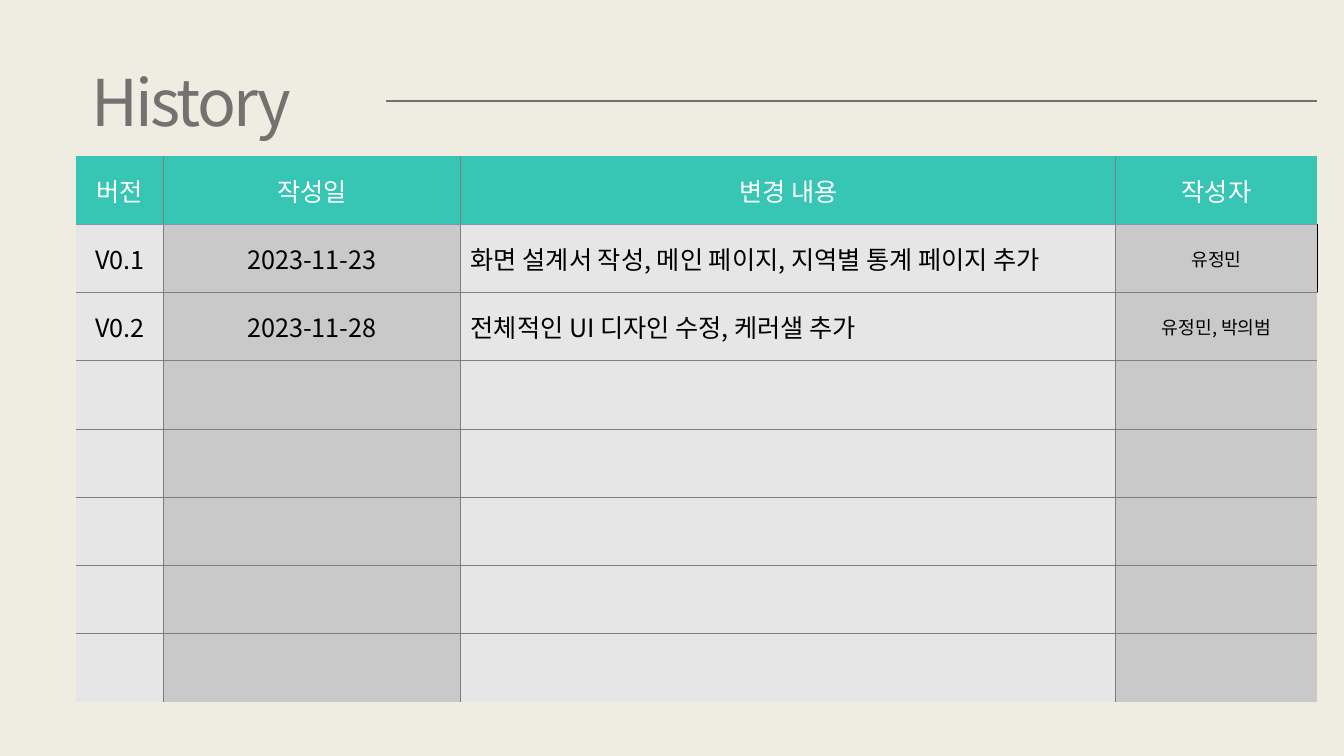
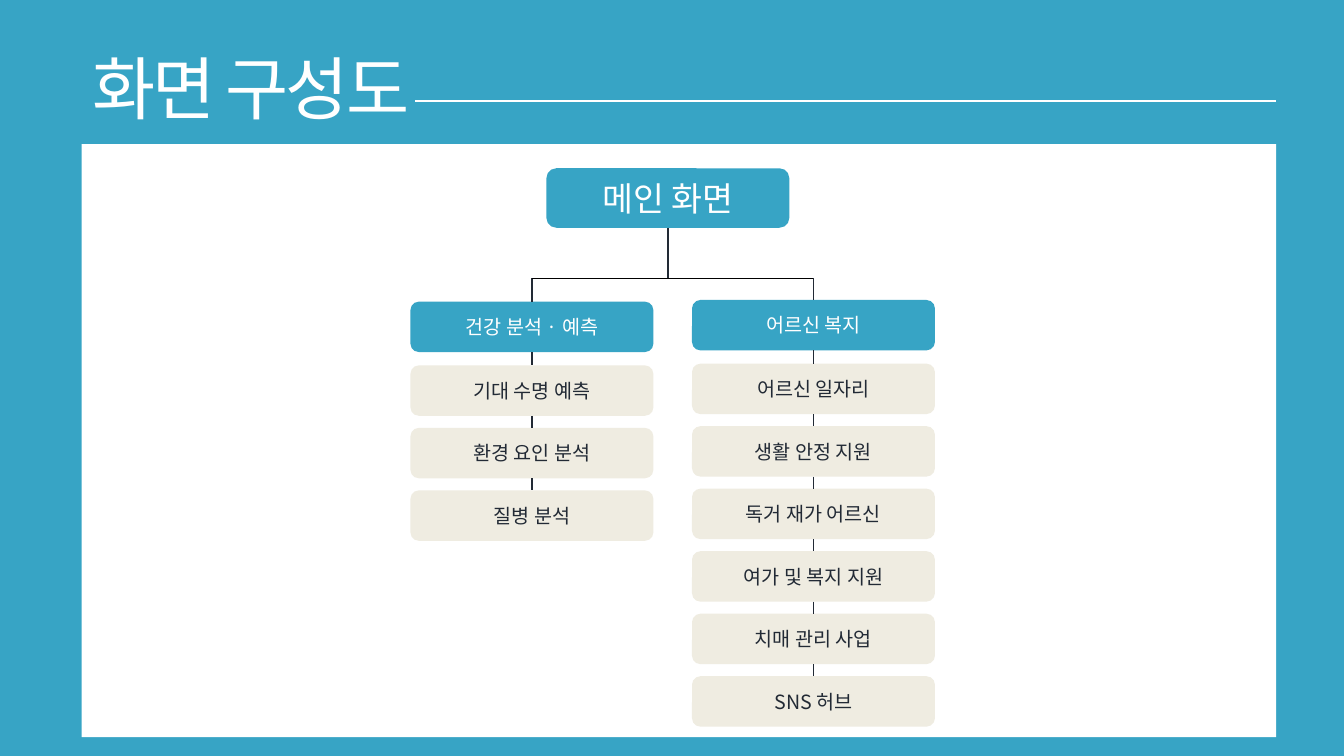
from itertools import pairwise

from lxml.etree import SubElement
from pptx import Presentation
from pptx.dml.color import RGBColor
from pptx.enum.shapes import MSO_CONNECTOR, MSO_SHAPE
from pptx.enum.text import MSO_ANCHOR, MSO_AUTO_SIZE, PP_ALIGN
from pptx.oxml.ns import qn
from pptx.util import Pt

FONT = "Noto Sans CJK KR"
CREAM = RGBColor(0xEF, 0xEC, 0xE1)
BLUE = RGBColor(0x37, 0xA4, 0xC5)
TEAL = RGBColor(0x37, 0xC5, 0xB4)
WHITE = RGBColor(0xFF, 0xFF, 0xFF)
BLACK = RGBColor(0x00, 0x00, 0x00)
NAVY = RGBColor(0x22, 0x2A, 0x35)
TITLE_GRAY = RGBColor(0x76, 0x71, 0x71)
RULE_GRAY = RGBColor(0x75, 0x70, 0x70)
GRID_GRAY = RGBColor(0x7F, 0x7F, 0x7F)
HEADER_EDGE = RGBColor(0x82, 0x96, 0xB0)
LIGHT_CELL = RGBColor(0xE7, 0xE6, 0xE6)
DARK_CELL = RGBColor(0xC9, 0xC9, 0xC9)

RULE_TOP = 72
TITLE_SPACING = -2

HISTORY_COLUMNS = [62, 212.4, 468, 144]
HISTORY_HEADER = ["버전", "작성일", "변경 내용", "작성자"]
HISTORY_ENTRIES = [
    ["V0.1", "2023-11-23", "화면 설계서 작성, 메인 페이지, 지역별 통계 페이지 추가", "유정민"],
    ["V0.2", "2023-11-28", "전체적인 UI 디자인 수정, 케러샐 추가", "유정민, 박의범"],
]
HISTORY_ROWS = 8

NODE_WIDTH = 173.5
NODE_HEIGHT = 36
HEADING_STEP = 45.5
ITEM_STEP = 44.65
BUS_TOP = 95.7
HEALTH_MENU = ["건강 분석 · 예측", "기대 수명 예측", "환경 요인 분석", "질병 분석"]
WELFARE_MENU = ["어르신 복지", "어르신 일자리", "생활 안정 지원", "독거 재가 어르신",
                "여가 및 복지 지원", "치매 관리 사업", "SNS 허브"]


def style_paragraph(paragraph, size, colour, alignment, spacing=0):
    """Set alignment, font, colour and letter spacing of a paragraph."""
    paragraph.alignment = alignment
    font = paragraph.font
    font.size = Pt(size)
    font.name = FONT
    font.color.rgb = colour
    properties = paragraph._p.pPr.find(qn("a:defRPr"))
    SubElement(properties, qn("a:ea")).set("typeface", FONT)
    if spacing:
        properties.set("spc", str(spacing * 100))


def add_line(slide, start, end, colour, width):
    """Draw a straight connector without a shadow."""
    line = slide.shapes.add_connector(
        MSO_CONNECTOR.STRAIGHT, *(Pt(value) for value in (*start, *end)))
    line.line.color.rgb = colour
    line.line.width = Pt(width)
    SubElement(line._element.spPr, qn("a:effectLst"))
    return line


def add_box(slide, preset, box, colour):
    """Draw a filled shape without an outline."""
    shape = slide.shapes.add_shape(preset, *(Pt(value) for value in box))
    shape.shadow.inherit = False
    shape.fill.solid()
    shape.fill.fore_color.rgb = colour
    shape.line.fill.background()
    return shape


def add_titled_slide(presentation, background, text, box, size, colour):
    """Add a title-only slide with its background and title."""
    slide = presentation.slides.add_slide(presentation.slide_layouts[5])
    slide.background.fill.solid()
    slide.background.fill.fore_color.rgb = background
    title = slide.shapes.title
    title.left, title.top, title.width, title.height = (Pt(value) for value in box)
    frame = title.text_frame
    frame.text = text
    frame.auto_size = MSO_AUTO_SIZE.NONE
    frame.vertical_anchor = MSO_ANCHOR.TOP
    style_paragraph(frame.paragraphs[0], size, colour, PP_ALIGN.LEFT, TITLE_SPACING)
    return slide


def set_borders(cell, left, right, top, bottom):
    """Give each side of a cell a one-point colour, or no line for None."""
    properties = cell._tc.get_or_add_tcPr()
    for tag, colour in zip(("lnL", "lnR", "lnT", "lnB"), (left, right, top, bottom)):
        edge = SubElement(properties, qn(f"a:{tag}"), w=str(Pt(1)))
        if colour is None:
            SubElement(edge, qn("a:noFill"))
        else:
            fill = SubElement(edge, qn("a:solidFill"))
            SubElement(fill, qn("a:srgbClr"), val=str(colour))


def horizontal_edge(index):
    """Return the colour of the table line above the row at this index."""
    if index in (0, HISTORY_ROWS):
        return None
    return HEADER_EDGE if index == 1 else GRID_GRAY


def vertical_edge(index, row):
    """Return the colour of the table line left of the column at this index."""
    if index == len(HISTORY_COLUMNS):
        return BLACK if row == 1 else None
    return GRID_GRAY if index else None


def add_history_table(slide, left, top, height):
    """Build the version table."""
    columns = len(HISTORY_COLUMNS)
    table = slide.shapes.add_table(
        HISTORY_ROWS, columns, Pt(left), Pt(top), Pt(sum(HISTORY_COLUMNS)), Pt(height)).table
    table.first_row = table.horz_banding = False
    for column, width in zip(table.columns, HISTORY_COLUMNS):
        column.width = Pt(width)
    for row in table.rows:
        row.height = Pt(height / HISTORY_ROWS)
    texts = [HISTORY_HEADER, *HISTORY_ENTRIES]
    for row in range(HISTORY_ROWS):
        for column in range(columns):
            cell = table.cell(row, column)
            set_borders(cell, vertical_edge(column, row), vertical_edge(column + 1, row),
                        horizontal_edge(row), horizontal_edge(row + 1))
            cell.fill.solid()
            body_fill = DARK_CELL if column % 2 else LIGHT_CELL
            cell.fill.fore_color.rgb = body_fill if row else TEAL
            cell.vertical_anchor = MSO_ANCHOR.MIDDLE
            if row < len(texts):
                cell.text = texts[row][column]
                style_paragraph(
                    cell.text_frame.paragraphs[0],
                    13 if row and column == 3 else 18,
                    BLACK if row else WHITE,
                    PP_ALIGN.LEFT if row and column == 2 else PP_ALIGN.CENTER)


def add_node(slide, box, text, size, fill, colour):
    """Draw one rounded box of the screen tree."""
    node = add_box(slide, MSO_SHAPE.ROUNDED_RECTANGLE, box, fill)
    frame = node.text_frame
    frame.text = text
    frame.word_wrap = True
    frame.vertical_anchor = MSO_ANCHOR.MIDDLE
    style_paragraph(frame.paragraphs[0], size, colour, PP_ALIGN.CENTER)
    return node


def add_branch(slide, left, top, bus_top, texts):
    """Draw a heading with its items below and hang it from the bus line."""
    centre = left + NODE_WIDTH / 2
    tops = [top] + [top + HEADING_STEP + ITEM_STEP * i for i in range(len(texts) - 1)]
    nodes = []
    for index, (text, node_top) in enumerate(zip(texts, tops)):
        fill, colour = (CREAM, NAVY) if index else (BLUE, WHITE)
        nodes.append(add_node(
            slide, (left, node_top, NODE_WIDTH, NODE_HEIGHT), text, 14, fill, colour))
    drop = add_line(slide, (centre, bus_top), (centre, top), NAVY, 1)
    drop.end_connect(nodes[0], 0)
    for (upper, lower), (upper_top, lower_top) in zip(pairwise(nodes), pairwise(tops)):
        link = add_line(
            slide, (centre, upper_top + NODE_HEIGHT), (centre, lower_top), NAVY, 1)
        link.begin_connect(upper, 2)
        link.end_connect(lower, 0)
    return centre


def add_screen_tree(slide, left, top, width, height):
    """Draw the white panel and the tree of screens inside it."""
    add_box(slide, MSO_SHAPE.RECTANGLE, (left, top, width, height), WHITE)
    root_left, root_top, root_height = left + 332, top + 17.2, 42.5
    root = add_node(
        slide, (root_left, root_top, NODE_WIDTH, root_height), "메인 화면", 24, BLUE, WHITE)
    bus_top = top + BUS_TOP
    centre = root_left + NODE_WIDTH / 2
    stem = add_line(slide, (centre, root_top + root_height), (centre, bus_top), NAVY, 1)
    stem.begin_connect(root, 2)
    first = add_branch(slide, left + 234.9, top + 112.5, bus_top, HEALTH_MENU)
    last = add_branch(slide, left + 436, top + 111.3, bus_top, WELFARE_MENU)
    add_line(slide, (first, bus_top), (last, bus_top), BLACK, 0.75)


def build_history_slide(presentation):
    """Build the version history slide."""
    slide = add_titled_slide(
        presentation, CREAM, "History", (58.5, 41, 536, 63.4), 46, TITLE_GRAY)
    add_line(slide, (275.8, RULE_TOP), (941, RULE_TOP), RULE_GRAY, 1.5)
    add_history_table(slide, 54.6, 111.5, 390.2)


def build_structure_slide(presentation):
    """Build the screen structure slide."""
    slide = add_titled_slide(
        presentation, BLUE, "화면 구성도", (59, 29.5, 490, 67), 49, WHITE)
    add_line(slide, (296.6, RULE_TOP), (911.5, RULE_TOP), WHITE, 1.5)
    add_screen_tree(slide, 58.3, 103, 853.2, 423.5)


def main():
    """Build and save the presentation."""
    presentation = Presentation()
    presentation.slide_width = Pt(960)
    presentation.slide_height = Pt(540)
    build_history_slide(presentation)
    build_structure_slide(presentation)
    presentation.save("out.pptx")


if __name__ == "__main__":
    main()
